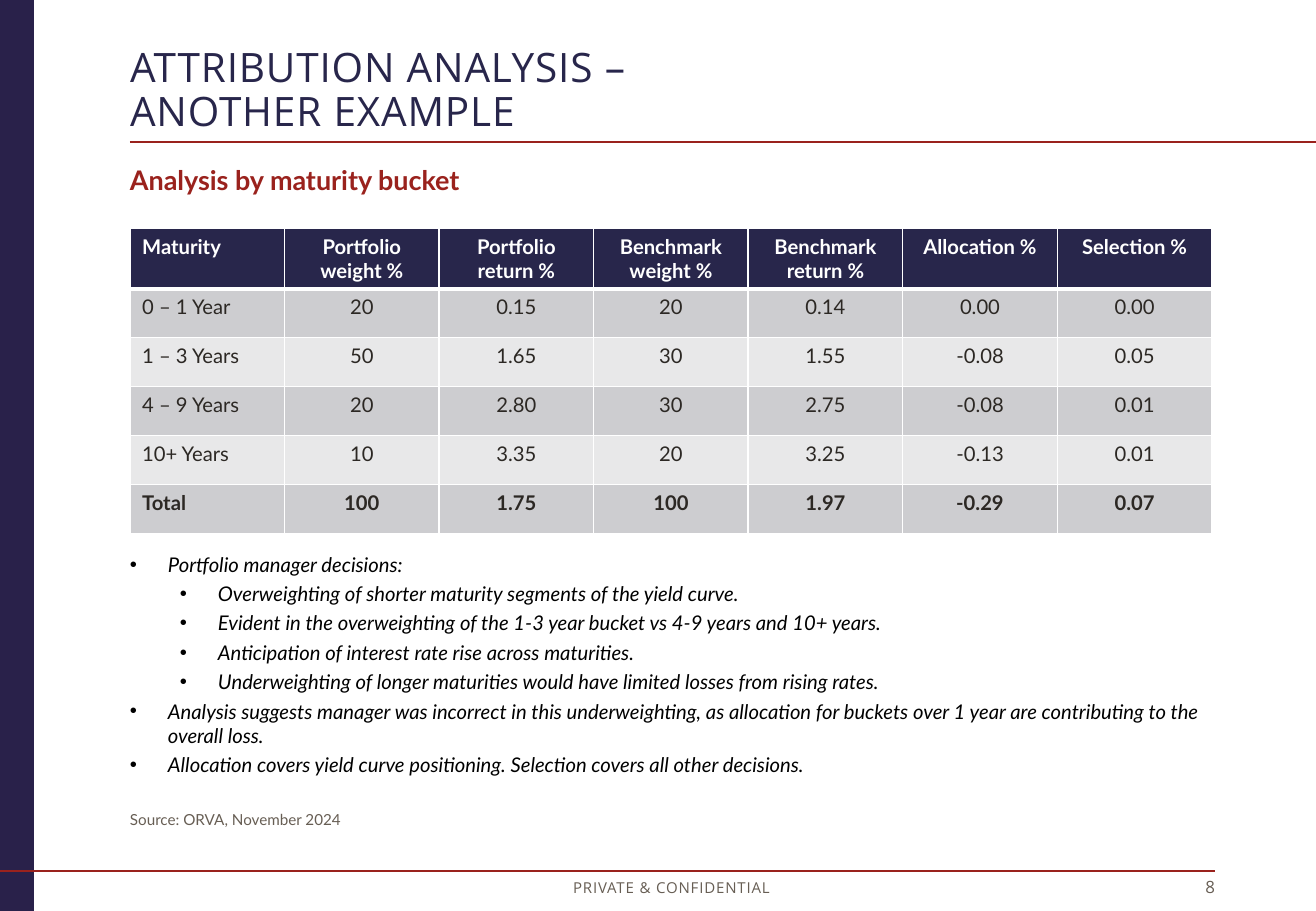
from dataclasses import dataclass, field
from typing import Any

from lxml.etree import SubElement
from pptx import Presentation
from pptx.dml.color import RGBColor
from pptx.enum.shapes import MSO_CONNECTOR as Connector, MSO_SHAPE as Preset
from pptx.enum.text import MSO_ANCHOR as Anchor, PP_ALIGN as Align
from pptx.oxml.ns import qn
from pptx.util import Emu, Pt

SCALE = 7526
COLORS = {
    "bar": "29214A", "navy": "28264B", "red": "9A221D", "grey": "675E54",
    "ink": "2C2824", "black": "000000", "white": "FFFFFF",
    "band": "CDCDD0", "light": "E8E8E9",
}
TABLE_BOX = (130, 228, 1082)
HEADER_HEIGHT = 59
ROW_HEIGHT = 49
BULLET_HANG = 38
LEVEL_INDENT = (38, 88)
ROWS = (
    ("Maturity", "Portfolio weight %", "Portfolio return %", "Benchmark weight %",
     "Benchmark return %", "Allocation %", "Selection %"),
    ("0 – 1 Year", "20", "0.15", "20", "0.14", "0.00", "0.00"),
    ("1 – 3 Years", "50", "1.65", "30", "1.55", "-0.08", "0.05"),
    ("4 – 9 Years", "20", "2.80", "30", "2.75", "-0.08", "0.01"),
    ("10+ Years", "10", "3.35", "20", "3.25", "-0.13", "0.01"),
    ("Total", "100", "1.75", "100", "1.97", "-0.29", "0.07"),
)


@dataclass(frozen=True)
class Line:
    text: str
    level: int | None = None


@dataclass(frozen=True)
class Style:
    color: str
    font: dict[str, Any]
    paragraph: dict[str, Any] = field(default_factory=dict)
    tracking: int = 0


@dataclass(frozen=True)
class TextBlock:
    box: tuple[int, int, int, int]
    lines: tuple[Line, ...]
    style: Style
    anchor: Anchor = Anchor.TOP


@dataclass(frozen=True)
class Rule:
    left: int
    right: int
    top: int
    width: float


def px(value: int) -> Emu:
    return Emu(value * SCALE)


def color(name: str) -> RGBColor:
    return RGBColor.from_string(COLORS[name])


def apply(target: Any, values: dict[str, Any]) -> None:
    for name, value in values.items():
        setattr(target, name, value)


def write(paragraph: Any, text: str, style: Style) -> None:
    apply(paragraph, style.paragraph)
    for index, part in enumerate(text.split("\n")):
        if index:
            paragraph.add_line_break()
        run = paragraph.add_run()
        run.text = part
        apply(run.font, style.font)
        run.font.color.rgb = color(style.color)
        if style.tracking:
            run.font._element.set("spc", str(style.tracking))


def add_bullet(paragraph: Any, level: int) -> None:
    paragraph.level = level
    properties = paragraph._p.get_or_add_pPr()
    properties.set("marL", str(px(LEVEL_INDENT[level])))
    properties.set("indent", str(-px(BULLET_HANG)))
    SubElement(properties, qn("a:buFont")).set("typeface", "Arial")
    SubElement(properties, qn("a:buChar")).set("char", "•")


def add_text(slide: Any, block: TextBlock) -> None:
    frame = slide.shapes.add_textbox(*map(px, block.box)).text_frame
    apply(frame, {"word_wrap": True, "vertical_anchor": block.anchor, "margin_left": 0,
                  "margin_right": 0, "margin_top": 0, "margin_bottom": 0})
    for index, line in enumerate(block.lines):
        paragraph = frame.add_paragraph() if index else frame.paragraphs[0]
        write(paragraph, line.text, block.style)
        if line.level is not None:
            add_bullet(paragraph, line.level)


def add_rule(slide: Any, rule: Rule) -> None:
    connector = slide.shapes.add_connector(
        Connector.STRAIGHT, px(rule.left), px(rule.top), px(rule.right), px(rule.top))
    connector.line.color.rgb = color("red")
    connector.line.width = Pt(rule.width)
    SubElement(connector._element.spPr, qn("a:effectLst"))


def add_side_bar(slide: Any) -> None:
    bar = slide.shapes.add_shape(Preset.RECTANGLE, 0, 0, px(34), px(911))
    bar.shadow.inherit = False
    bar.fill.solid()
    bar.fill.fore_color.rgb = color("bar")
    bar.line.fill.background()


def fill_cell(cell: Any, fill: str, bottom_width: float) -> None:
    properties = cell._tc.get_or_add_tcPr()
    for side, width in (("L", 1), ("R", 1), ("T", 1), ("B", bottom_width)):
        border = SubElement(properties, qn(f"a:ln{side}"), w=str(Pt(width)))
        solid = SubElement(border, qn("a:solidFill"))
        SubElement(solid, qn("a:srgbClr"), val=COLORS["white"])
    cell.fill.solid()
    cell.fill.fore_color.rgb = color(fill)


def add_attribution_table(slide: Any) -> None:
    left, top, width = map(px, TABLE_BOX)
    last = len(ROWS) - 1
    height = px(HEADER_HEIGHT + last * ROW_HEIGHT)
    table = slide.shapes.add_table(len(ROWS), len(ROWS[0]), left, top, width, height).table
    apply(table, {"first_row": False, "horz_banding": False})
    for column in table.columns:
        column.width = Emu(width // len(ROWS[0]))
    for row_index, values in enumerate(ROWS):
        header = row_index == 0
        table.rows[row_index].height = px(HEADER_HEIGHT if header else ROW_HEIGHT)
        fill = "navy" if header else ("light", "band")[row_index % 2]
        font = {"name": "Lato", "size": Pt(12), "bold": row_index in (0, last)}
        for column_index, value in enumerate(values):
            cell = table.cell(row_index, column_index)
            fill_cell(cell, fill, 3 if header else 1)
            align = Align.CENTER if column_index else Align.LEFT
            style = Style("white" if header else "ink", font, {"alignment": align})
            write(cell.text_frame.paragraphs[0], value, style)


RULES = (Rule(0, 1215, 871, 1), Rule(130, 1316, 142, 1.5))
TEXTS = (
    TextBlock((1147, 877, 68, 21), (Line("8"),),
              Style("grey", {"name": "Open Sans", "size": Pt(10)}, {"alignment": Align.RIGHT})),
    TextBlock((532, 878, 279, 21), (Line("PRIVATE & CONFIDENTIAL"),),
              Style("grey", {"name": "Open Sans", "size": Pt(8.9)},
                    {"alignment": Align.CENTER}, 50)),
    TextBlock((130, 810, 1082, 18), (Line("Source: ORVA, November 2024"),),
              Style("grey", {"name": "Lato", "size": Pt(9)})),
    TextBlock((130, 552, 1082, 227), (
        Line("Portfolio manager decisions:", 0),
        Line("Overweighting of shorter maturity segments of the yield curve.", 1),
        Line("Evident in the overweighting of the 1-3 year bucket vs 4-9 years and 10+ years.", 1),
        Line("Anticipation of interest rate rise across maturities.", 1),
        Line("Underweighting of longer maturities would have limited losses from rising rates.", 1),
        Line("Analysis suggests manager was incorrect in this underweighting, as allocation "
             "for buckets over 1 year are contributing to the overall loss.", 0),
        Line("Allocation covers yield curve positioning. Selection covers all other decisions.", 0),
    ), Style("black", {"name": "Lato", "size": Pt(12), "italic": True}, {"space_after": Pt(3)})),
    TextBlock((130, 163, 1082, 33), (Line("Analysis by maturity bucket"),),
              Style("red", {"name": "Lato", "size": Pt(16), "bold": True}), Anchor.MIDDLE),
    TextBlock((130, 35, 840, 100), (Line("ATTRIBUTION ANALYSIS –\nANOTHER EXAMPLE"),),
              Style("navy", {"name": "Open Sans", "size": Pt(24)}, {"line_spacing": 0.9}, 50),
              Anchor.BOTTOM),
)


def main() -> None:
    presentation = Presentation()
    apply(presentation, {"slide_width": px(1316), "slide_height": px(911)})
    slide = presentation.slides.add_slide(presentation.slide_layouts[6])
    add_side_bar(slide)
    for rule in RULES:
        add_rule(slide, rule)
    add_attribution_table(slide)
    for block in TEXTS:
        add_text(slide, block)
    presentation.save("out.pptx")


if __name__ == "__main__":
    main()
